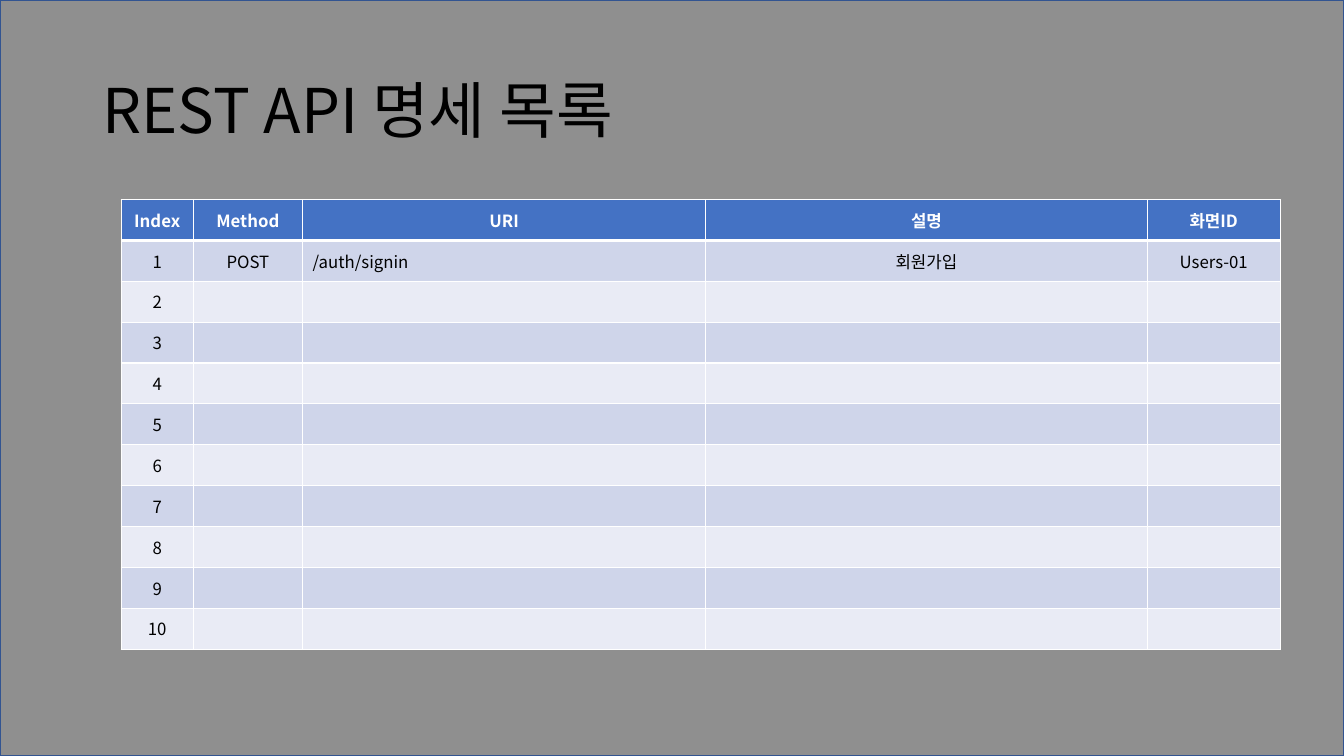
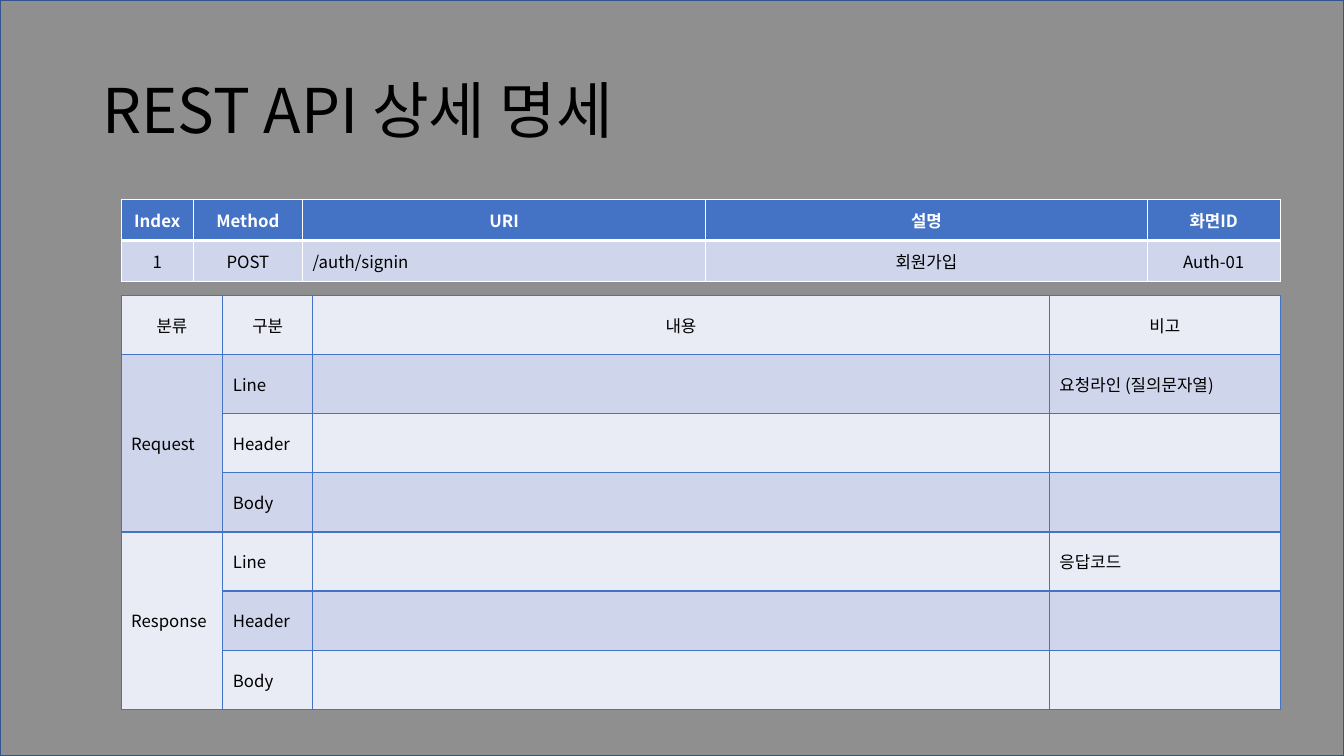
"""Builds two REST API specification slides: the endpoint list and one endpoint in detail."""
import lxml.etree
import pptx
import pptx.dml.color
import pptx.enum.shapes
import pptx.enum.text
import pptx.oxml
import pptx.oxml.ns
import pptx.util

Pt = pptx.util.Pt
RGB = pptx.dml.color.RGBColor.from_string
qn = pptx.oxml.ns.qn
CENTER = pptx.enum.text.PP_ALIGN.CENTER
LEFT = pptx.enum.text.PP_ALIGN.LEFT
MIDDLE = pptx.enum.text.MSO_ANCHOR.MIDDLE

FONT = "Noto Sans CJK KR"
THEME = {
    "ink": "000000",
    "paper": "FFFFFF",
    "accent": "4472C4",
    "frame": "325491",
    "bands": ("E9EBF5", "CFD5EA"),
    "veil_alpha": "44000",
    "title": {"name": FONT, "size": Pt(44), "bold": False},
    "header": {"name": FONT, "size": Pt(12), "bold": True},
    "body": {"name": FONT, "size": Pt(12), "bold": False},
}
SLIDE_WIDTH, SLIDE_HEIGHT = Pt(960), Pt(540)
TABLE_LEFT, LIST_TOP, DETAIL_TOP = 86.5, 142.5, 211
LIST_ROW, DETAIL_ROW = 29.2, 42.25
LIST_COLUMNS = (51.6, 78, 288, 315.4, 95)
DETAIL_COLUMNS = (72.7, 64.1, 526.3, 164.9)
LIST_HEADER = ("Index", "Method", "URI", "설명", "화면ID")


def write_text(paragraph, text, style, color, alignment):
    """Fill a paragraph with one formatted run, or size it when it is empty."""
    paragraph.alignment = alignment
    if not text:
        end = lxml.etree.SubElement(paragraph._p, qn("a:endParaRPr"))
        end.set("sz", str(int(style["size"].pt * 100)))
        return
    run = paragraph.add_run()
    run.text = text
    for attribute, value in style.items():
        setattr(run.font, attribute, value)
    run.font.color.rgb = RGB(color)
    east_asian = lxml.etree.SubElement(run.font._element, qn("a:ea"))
    east_asian.set("typeface", style["name"])


def add_grid(slide, top, widths, row_height, rows, left_columns, line, strong_header):
    """Add a banded table with ruled cells."""
    frame = slide.shapes.add_table(
        len(rows), len(widths), Pt(TABLE_LEFT), Pt(top), Pt(sum(widths)), Pt(row_height * len(rows)))
    grid = frame.table
    grid.first_row = grid.horz_banding = False
    for column, width in zip(grid.columns, widths):
        column.width = Pt(width)
    for r, row in enumerate(rows):
        grid.rows[r].height = Pt(row_height)
        strong = strong_header and r == 0
        style = THEME["header" if strong else "body"]
        edges = {"L": 1, "R": 1, "T": 3 if strong_header and r == 1 else 1, "B": 3 if strong else 1}
        for c, text in enumerate(row):
            cell = grid.cell(r, c)
            cell.vertical_anchor = MIDDLE
            cell.fill.solid()
            cell.fill.fore_color.rgb = RGB(THEME["accent"] if strong else THEME["bands"][r % 2])
            write_text(cell.text_frame.paragraphs[0], text, style,
                       THEME["paper" if strong else "ink"],
                       LEFT if r and c in left_columns else CENTER)
            for position, (side, weight) in enumerate(edges.items()):
                border = pptx.oxml.parse_xml(
                    f'<a:ln{side} xmlns:a="http://schemas.openxmlformats.org/drawingml/2006/main" '
                    f'w="{int(Pt(weight))}"><a:solidFill><a:srgbClr val="{line}"/></a:solidFill></a:ln{side}>')
                cell._tc.get_or_add_tcPr().insert(position, border)
    return grid


deck = pptx.Presentation()
deck.slide_width, deck.slide_height = SLIDE_WIDTH, SLIDE_HEIGHT

slides = []
for heading in ("REST API 명세 목록", "REST API 상세 명세"):
    slide = deck.slides.add_slide(deck.slide_layouts[6])
    veil = slide.shapes.add_shape(
        pptx.enum.shapes.MSO_SHAPE.RECTANGLE, 0, 0, SLIDE_WIDTH, SLIDE_HEIGHT)
    veil.shadow.inherit = False
    veil.fill.solid()
    veil.fill.fore_color.rgb = RGB(THEME["ink"])
    veil_color = veil._element.spPr.find(qn("a:solidFill"))[0]
    lxml.etree.SubElement(veil_color, qn("a:alpha")).set("val", THEME["veil_alpha"])
    veil.line.color.rgb = RGB(THEME["frame"])
    veil.line.width = Pt(1)

    title = slide.shapes.add_textbox(Pt(66), Pt(28.75), Pt(828), Pt(104.4)).text_frame
    title.word_wrap = True
    title.vertical_anchor = MIDDLE
    title.paragraphs[0].line_spacing = 0.9
    write_text(title.paragraphs[0], heading, THEME["title"], THEME["ink"], LEFT)
    slides.append(slide)

list_slide, detail_slide = slides
signin = ("1", "POST", "/auth/signin", "회원가입")
endpoints = [LIST_HEADER, (*signin, "Users-01")]
endpoints += [(str(index), "", "", "", "") for index in range(2, 11)]
add_grid(list_slide, LIST_TOP, LIST_COLUMNS, LIST_ROW, endpoints, {2}, THEME["paper"], True)
add_grid(detail_slide, LIST_TOP, LIST_COLUMNS, LIST_ROW,
         [LIST_HEADER, (*signin, "Auth-01")], {2}, THEME["paper"], True)

messages = [("분류", "구분", "내용", "비고")]
for message, remark in (("Request", "요청라인 (질의문자열)"), ("Response", "응답코드")):
    messages += [(message, "Line", "", remark), ("", "Header", "", ""), ("", "Body", "", "")]
detail = add_grid(detail_slide, DETAIL_TOP, DETAIL_COLUMNS, DETAIL_ROW, messages,
                  {0, 1, 2, 3}, THEME["accent"], False)
for first_row in (1, 4):
    detail.cell(first_row, 0).merge(detail.cell(first_row + 2, 0))

deck.save("out.pptx")
